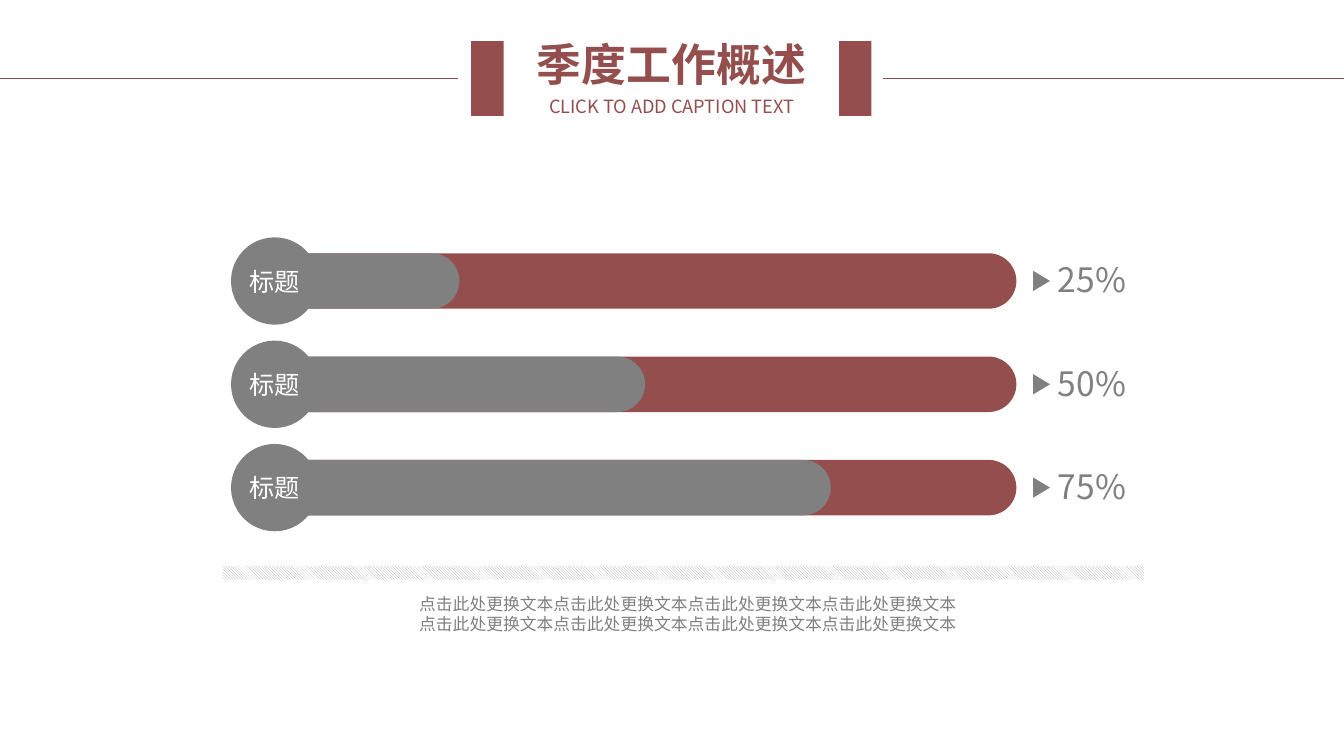
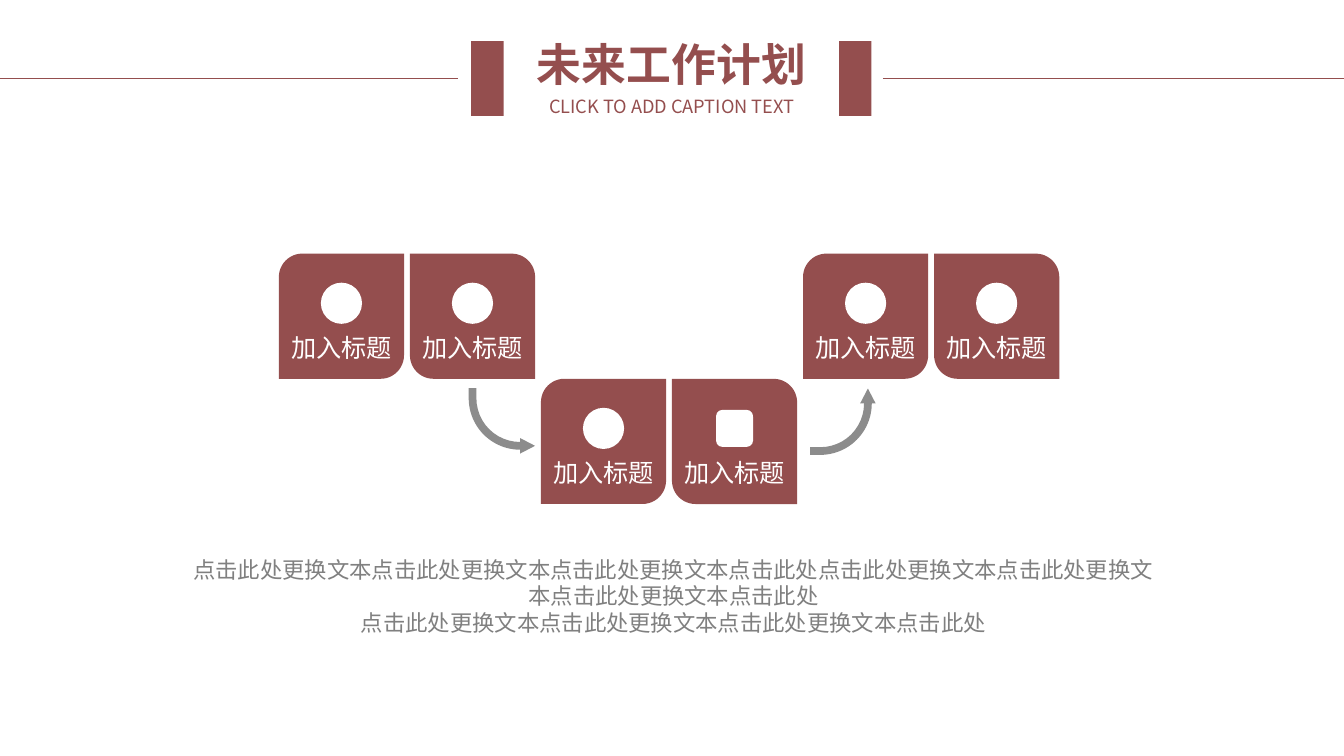
from dataclasses import dataclass

from lxml.etree import SubElement
from pptx import Presentation
from pptx.dml.color import RGBColor
from pptx.enum.dml import MSO_PATTERN
from pptx.enum.shapes import MSO_CONNECTOR, MSO_SHAPE
from pptx.enum.text import MSO_ANCHOR, MSO_AUTO_SIZE, PP_ALIGN
from pptx.oxml.ns import qn
from pptx.util import Inches, Pt

COLUMNS, ROWS = 160, 90


@dataclass(frozen=True)
class Theme:
    accent: RGBColor = RGBColor(0x94, 0x4E, 0x4E)
    grey: RGBColor = RGBColor(0x80, 0x80, 0x80)
    hatch: RGBColor = RGBColor(0xA6, 0xA6, 0xA6)
    white: RGBColor = RGBColor(0xFF, 0xFF, 0xFF)
    font: str = "Noto Sans CJK SC"
    label_font: str = "Lato"
    title: int = 32
    value: int = 24
    label: int = 18
    body: int = 16
    caption: int = 13
    note: int = 12
    rule: float = 0.5
    leading: float = 1.19


THEME = Theme()


def write(shape, text, *, size, color, font=THEME.font, bold=False,
          anchor=MSO_ANCHOR.MIDDLE, inset=0, wrap=True, leading=None):
    frame = shape.text_frame
    frame.auto_size = MSO_AUTO_SIZE.NONE
    frame.word_wrap = wrap
    frame.vertical_anchor = anchor
    frame.margin_left = frame.margin_right = Inches(inset)
    frame.margin_top = frame.margin_bottom = Inches(inset / 2)
    frame.text = text
    for paragraph in frame.paragraphs:
        paragraph.alignment = PP_ALIGN.CENTER
        if leading:
            paragraph.line_spacing = Pt(round(size * leading, 1))
        for run in paragraph.runs:
            run.font.size = Pt(size)
            run.font.bold = bold
            run.font.name = font
            run.font.color.rgb = color
            SubElement(run.font._element, qn("a:ea"), typeface=THEME.font)


class Deck:
    def __init__(self, theme):
        self.theme = theme
        self.presentation = Presentation()
        self.presentation.slide_width = Inches(13.333)
        self.presentation.slide_height = Inches(7.5)
        self.slide = None

    def grid(self, left, top, width, height):
        column = self.presentation.slide_width / COLUMNS
        row = self.presentation.slide_height / ROWS
        return (round(left * column), round(top * row),
                round(width * column), round(height * row))

    def shape(self, preset, *box, color, adjust=(), rotation=0, flip=False, opacity=None):
        shape = self.slide.shapes.add_shape(preset, *self.grid(*box))
        shape.shadow.inherit = False
        shape.fill.solid()
        shape.fill.fore_color.rgb = color
        shape.line.fill.background()
        shape.rotation = rotation
        for index, value in enumerate(adjust):
            shape.adjustments[index] = value
        if flip:
            shape.element.spPr.find(qn("a:xfrm")).set("flipH", "1")
        if opacity:
            tone = shape.element.spPr.find(qn("a:solidFill"))[0]
            SubElement(tone, qn("a:alpha"), val=str(opacity * 1000))
        return shape

    def text(self, content, *box, **style):
        write(self.slide.shapes.add_textbox(*self.grid(*box)), content, **style)

    def rule(self, start, end, row):
        left, top, right, bottom = self.grid(start, row, end, row)
        rule = self.slide.shapes.add_connector(MSO_CONNECTOR.STRAIGHT, left, top, right, bottom)
        rule.line.color.rgb = self.theme.accent
        rule.line.width = Pt(self.theme.rule)
        SubElement(rule.element.spPr, qn("a:effectLst"))

    def hatched_band(self, *box):
        band = self.shape(MSO_SHAPE.RECTANGLE, *box, color=self.theme.hatch)
        band.fill.patterned()
        band.fill.pattern = MSO_PATTERN.DARK_DOWNWARD_DIAGONAL
        band.fill.fore_color.rgb = self.theme.hatch
        band.fill.back_color.rgb = self.theme.white

    def paragraphs(self, lines, *box, size):
        self.text("\n".join(lines), *box, size=size, color=self.theme.grey,
                  anchor=MSO_ANCHOR.TOP, inset=0.1, leading=self.theme.leading)

    def add_slide(self, heading):
        theme = self.theme
        self.slide = self.presentation.slides.add_slide(self.presentation.slide_layouts[5])
        title = self.slide.shapes.title
        title.left, title.top, title.width, title.height = self.grid(58.6, 4.3, 42.7, 6.5)
        write(title, heading, size=theme.title, color=theme.accent, bold=True)
        self.text("CLICK TO ADD CAPTION TEXT", 58.6, 11.4, 42.7, 2.6,
                  size=theme.caption, color=theme.accent)
        for left in (56.1, 99.9):
            self.shape(MSO_SHAPE.RECTANGLE, left, 4.9, 3.85, 8.9, color=theme.accent)
        for start, end in ((0, 54.5), (105.1, COLUMNS)):
            self.rule(start, end, 9.3)

    def progress_bar(self, label, share, middle):
        theme = self.theme
        left, length, thickness = 32.6, 88.4, 6.6
        for width, color in ((length, theme.accent), (length * share, theme.grey)):
            self.shape(MSO_SHAPE.ROUNDED_RECTANGLE, left, middle - thickness / 2,
                       width, thickness, color=color, adjust=[0.5])
        self.shape(MSO_SHAPE.ISOSCELES_TRIANGLE, 122.8, middle - 1, 2.4, 2,
                   color=theme.grey, rotation=90)
        self.text(f"{share:.0%}", 124.6, middle - 3.2, 10.8, 6,
                  size=theme.value, color=theme.grey, wrap=False)
        knob = self.shape(MSO_SHAPE.OVAL, 27.5, middle - 5.2, 10.4, 10.4, color=theme.grey)
        write(knob, label, size=theme.label, color=theme.white, inset=0.05)

    def tile(self, label, left, top, rotation, icon, icon_size):
        theme = self.theme
        side = 14.9
        self.shape(MSO_SHAPE.ROUND_2_DIAG_RECTANGLE, left, top, side, side,
                   color=theme.accent, adjust=[0.188, 0], rotation=rotation)
        self.shape(icon, left + (side - icon_size) / 2, top + 5.9 - icon_size / 2,
                   icon_size, icon_size, color=theme.white)
        self.text(label, left, top + 7.8, side, 6.6, size=theme.label,
                  color=theme.white, font=theme.label_font, wrap=False)

    def bent_arrow(self, left, top, rotation):
        self.shape(MSO_SHAPE.BENT_ARROW, left, top, 7.9, 7.8, color=self.theme.grey,
                   adjust=[0.118, 0.119, 0.228, 0.792], rotation=rotation,
                   flip=True, opacity=90)


def build_overview(deck):
    deck.add_slide("季度工作概述")
    for index, share in enumerate((0.25, 0.5, 0.75)):
        deck.progress_bar("标题", share, 33.45 + 12.3 * index)
    deck.paragraphs(["点击此处更换文本" * 4] * 2, 26.2, 70.1, 111.4, 8.5, size=deck.theme.note)
    deck.hatched_band(26.5, 67.4, 109.7, 1.6)


def build_plan(deck):
    deck.add_slide("未来工作计划")
    high, low = 30.2, 45.1
    disc, badge = (MSO_SHAPE.OVAL, 4.9), (MSO_SHAPE.ROUNDED_RECTANGLE, 4.4)
    steps = ((high, 0, disc), (high, 90, disc), (low, 0, disc),
             (low, 270, badge), (high, 0, disc), (high, 90, disc))
    for index, (top, rotation, icon) in enumerate(steps):
        deck.tile("加入标题", 33.2 + 15.6 * index, top, rotation, *icon)
    deck.bent_arrow(55.8, 46.2, 180)
    deck.bent_arrow(96.4, 46.3, 90)
    prompt, ending = "点击此处更换文本", "点击此处"
    deck.paragraphs([(prompt * 3 + ending) * 2, prompt * 3 + ending],
                    21.5, 65.6, 117.4, 14.2, size=deck.theme.body)


def main():
    deck = Deck(THEME)
    build_overview(deck)
    build_plan(deck)
    deck.presentation.save("out.pptx")


if __name__ == "__main__":
    main()
